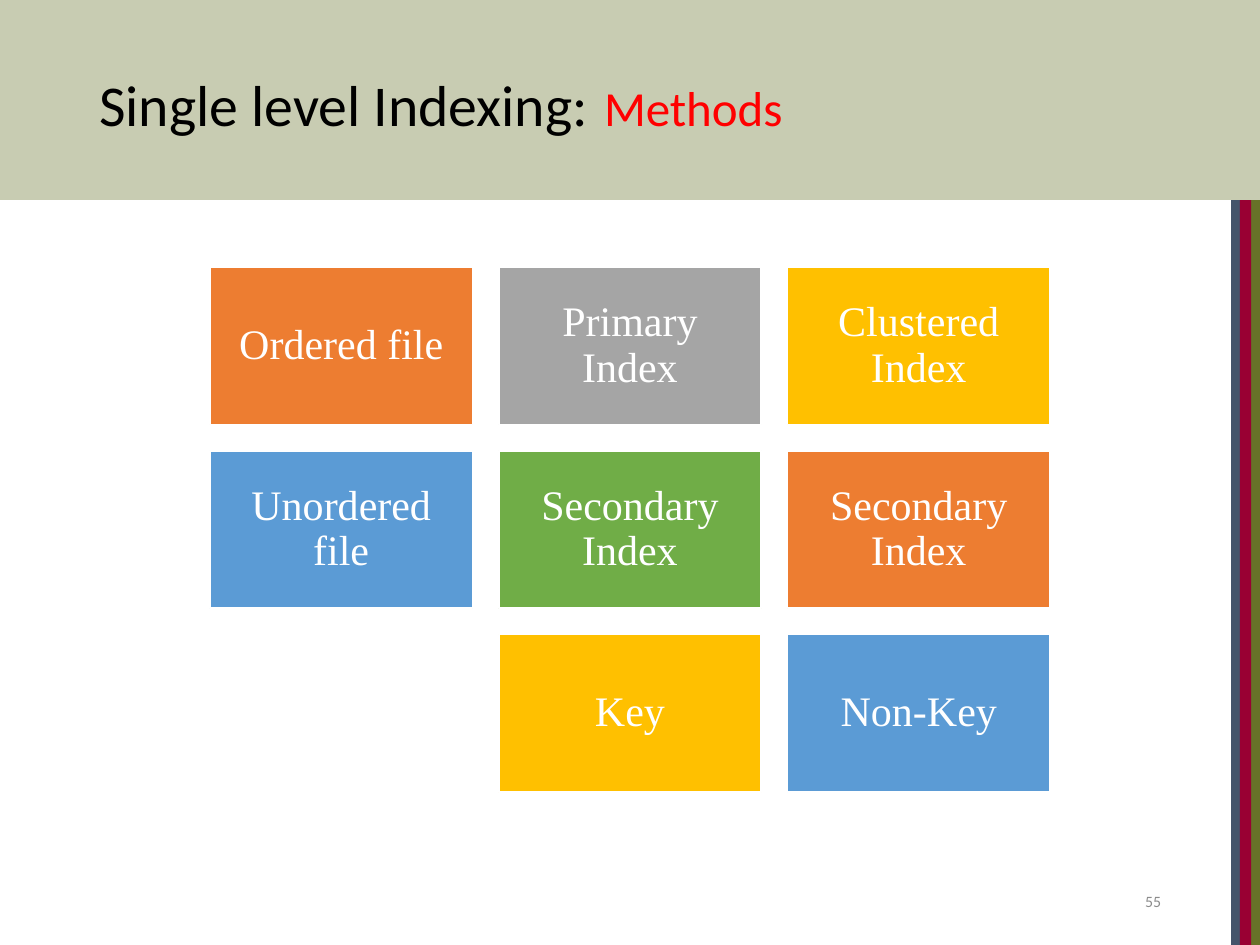
"""Builds the slide on single level indexing methods."""
from pptx import Presentation
from pptx.dml.color import RGBColor
from pptx.enum.shapes import MSO_SHAPE
from pptx.enum.text import MSO_ANCHOR, MSO_AUTO_SIZE, PP_ALIGN
from pptx.util import Pt


def color(hex_code):
    """Turns a hex string into a colour."""
    return RGBColor.from_string(hex_code)


class IndexingSlide:
    """Holds the style and the current slide."""

    heading_font = "Calibri"
    card_font = "Times New Roman"
    white = "FFFFFF"

    def __init__(self, slide):
        """Keeps the slide to draw on."""
        self.slide = slide

    def style(self, run, font, size, hex_code):
        """Formats one run."""
        run.font.name = font
        run.font.size = Pt(size)
        run.font.color.rgb = color(hex_code)

    def block(self, left, top, width, height, fill):
        """Adds a plain filled rectangle."""
        block = self.slide.shapes.add_shape(
            MSO_SHAPE.RECTANGLE, Pt(left), Pt(top), Pt(width), Pt(height))
        block.shadow.inherit = False
        block.fill.solid()
        block.fill.fore_color.rgb = color(fill)
        block.line.fill.background()
        return block

    def heading(self, parts, left, top, width, height):
        """Fills the title, in front of what is drawn so far."""
        title = self.slide.shapes.title
        title.left, title.top = Pt(left), Pt(top)
        title.width, title.height = Pt(width), Pt(height)
        title.element.getparent().append(title.element)
        frame = title.text_frame
        frame.auto_size = MSO_AUTO_SIZE.NONE
        frame.vertical_anchor = MSO_ANCHOR.MIDDLE
        line = frame.paragraphs[0]
        line.alignment = PP_ALIGN.LEFT
        line.line_spacing = 0.9
        for wording, size, hex_code in parts:
            run = line.add_run()
            run.text = wording
            self.style(run, self.heading_font, size, hex_code)

    def card(self, label, left, top, width, height, fill):
        """Adds a coloured card with a centred label."""
        card = self.block(left, top, width, height, fill)
        card.line.color.rgb = color(self.white)
        card.line.width = Pt(1)
        frame = card.text_frame
        frame.text = label
        frame.word_wrap = True
        frame.vertical_anchor = MSO_ANCHOR.MIDDLE
        frame.margin_left = frame.margin_right = Pt(7.2)
        frame.margin_top = frame.margin_bottom = Pt(7.2)
        line = frame.paragraphs[0]
        line.alignment = PP_ALIGN.CENTER
        line.line_spacing = 0.9
        self.style(line.runs[0], self.card_font, 24, self.white)

    def page_number(self, number, left, top, width, height):
        """Adds the page number."""
        page = self.slide.shapes.add_textbox(
            Pt(left), Pt(top), Pt(width), Pt(height))
        frame = page.text_frame
        frame.text = number
        frame.word_wrap = True
        frame.vertical_anchor = MSO_ANCHOR.MIDDLE
        line = frame.paragraphs[0]
        line.alignment = PP_ALIGN.RIGHT
        self.style(line.runs[0], self.heading_font, 9, "8C8C8C")


def main():
    """Builds and saves the presentation."""
    deck = Presentation()
    deck.slide_width, deck.slide_height = Pt(720), Pt(540)
    page = IndexingSlide(deck.slides.add_slide(deck.slide_layouts[5]))

    band_height = 114.3
    stripes = [(712, 8, "677228"), (703.5, 6.5, "44546A"), (708.5, 6.5, "990033")]
    for left, width, fill in stripes:
        page.block(left, band_height, width, 540 - band_height, fill)
    page.block(0, 0, 720, band_height, "C8CCB2")

    page.heading([("Single level Indexing:", 33, "000000"), (" ", 40, "000000"),
                  ("Methods", 28, "FF0000")], 49.5, 7.2, 621, 104.4)
    page.page_number("55", 508.5, 500.5, 162, 28.8)

    orange, gray, gold, blue, green = "ED7D31", "A5A5A5", "FFC000", "5B9BD5", "70AD47"
    methods = [
        [("Ordered file", orange), ("Primary Index", gray), ("Clustered Index", gold)],
        [("Unordered file", blue), ("Secondary Index", green), ("Secondary Index", orange)],
        [None, ("Key", gold), ("Non-Key", blue)],
    ]
    width, height, gap = 150, 90, 15
    for row, entries in enumerate(methods):
        for column, entry in enumerate(entries):
            if entry:
                label, fill = entry
                page.card(label, 120 + column * (width + gap),
                          152.6 + row * (height + gap), width, height, fill)

    deck.save("out.pptx")


if __name__ == "__main__":
    main()
